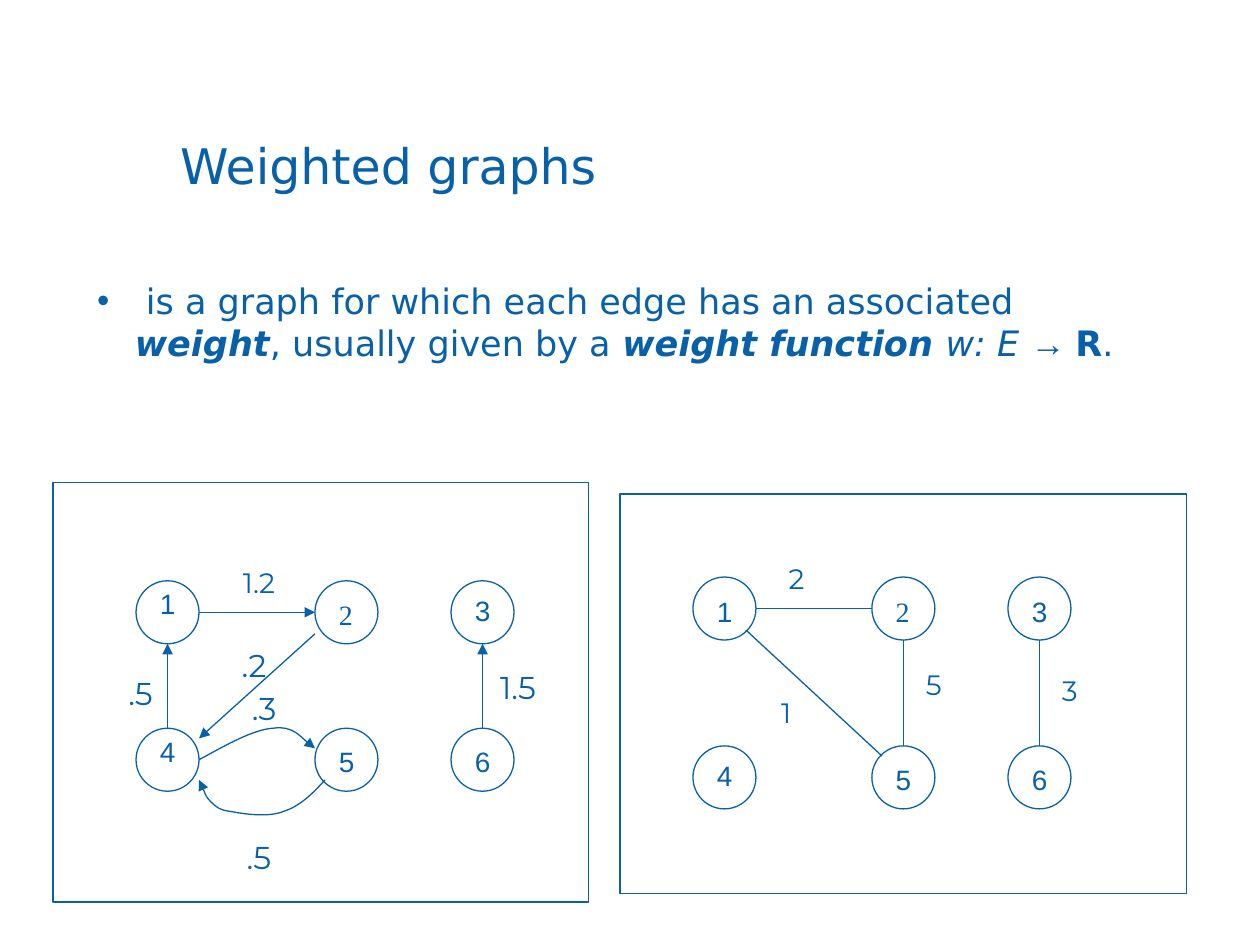
from pptx import Presentation
from pptx.dml.color import RGBColor
from pptx.enum.shapes import MSO_CONNECTOR, MSO_SHAPE
from pptx.enum.text import MSO_ANCHOR, MSO_AUTO_SIZE, PP_ALIGN
from pptx.oxml.ns import qn
from pptx.oxml.xmlchemy import OxmlElement
from pptx.util import Inches, Pt

BLUE = RGBColor(0x08, 0x60, 0xA8)
HEADING_FONT, NODE_FONT, WEIGHT_FONT = "DejaVu Sans", "Arial", "Montserrat"
NODE_SIZE = 0.5
COLUMNS = (0, 1.42, 2.5)

# Positions are in inches from the top left corner of node 1.
# Edges: start x, start y, end x, end y. Weights: text, x, y, width, points.
DIRECTED = {
    "origin": (0.66, 0.78),
    "row_gap": 1.17,
    "label_drops": (0, 0.08, 0.05, 0, 0.08, 0.08),
    "arrows": True,
    "edges": [
        (0.25, 1.17, 0.25, 0.5),
        (0.5, 0.25, 1.42, 0.25),
        (1.42, 0.42, 0.5, 1.25),
        (2.75, 1.17, 2.75, 0.5),
    ],
    "curves": [
        [(0.5, 1.42), (0.72, 1.3), (0.93, 1.18), (1.09, 1.17),
         (1.24, 1.15), (1.36, 1.29), (1.42, 1.33)],
        [(1.5, 1.58), (1.4, 1.69), (1.3, 1.79), (1.17, 1.83),
         (1.05, 1.88), (0.85, 1.85), (0.75, 1.83), (0.66, 1.82),
         (0.63, 1.79), (0.59, 1.75), (0.55, 1.71), (0.52, 1.61), (0.5, 1.58)],
    ],
    "weights": [
        (".5", -0.16, 0.69, 0.41, 18),
        ("1.2", 0.75, -0.17, 0.51, 16),
        (".2", 0.74, 0.47, 0.41, 18),
        (".5", 0.78, 1.99, 0.41, 18),
        ("1.5", 2.79, 0.64, 0.55, 18),
        (".3", 0.82, 0.81, 0.41, 18),
    ],
}
UNDIRECTED = {
    "origin": (0.58, 0.66),
    "row_gap": 1.34,
    "label_drops": (0.09, 0.09, 0.09, 0.05, 0.08, 0.08),
    "arrows": False,
    "edges": [
        (0.42, 0.42, 1.5, 1.42),
        (0.5, 0.25, 1.42, 0.25),
        (1.67, 1.34, 1.67, 0.5),
        (2.75, 1.34, 2.75, 0.5),
    ],
    "curves": [],
    "weights": [
        ("2", 0.66, -0.17, 0.32, 16),
        ("1", 0.6, 0.89, 0.32, 16),
        ("3", 2.83, 0.72, 0.32, 16),
        ("5", 1.75, 0.67, 0.32, 16),
    ],
}


def place(shape, box):
    for name, value in zip(("left", "top", "width", "height"), box):
        setattr(shape, name, Inches(value))


def add_run(paragraph, text, **font_format):
    run = paragraph.add_run()
    run.text = text
    run.font.color.rgb = BLUE
    for name, value in font_format.items():
        setattr(run.font, name, value)


def style_line(shape, arrow=False):
    shape.line.color.rgb = BLUE
    shape.line.width = Pt(0.75)
    if arrow:
        tail = OxmlElement("a:tailEnd")
        tail.set("type", "triangle")
        shape.line._get_or_add_ln().append(tail)


def add_outline(shapes, kind, box):
    shape = shapes.add_shape(kind, *map(Inches, box))
    shape.shadow.inherit = False
    shape.fill.background()
    style_line(shape)


def add_label(shapes, text, box, font, points):
    label = shapes.add_textbox(*map(Inches, box))
    frame = label.text_frame
    frame.word_wrap = False
    frame.auto_size = MSO_AUTO_SIZE.SHAPE_TO_FIT_TEXT
    add_run(frame.paragraphs[0], text, size=Pt(points), name=font)


def add_edge(shapes, start, end, arrow):
    edge = shapes.add_connector(
        MSO_CONNECTOR.STRAIGHT, *map(Inches, (*start, *end)))
    edge._element.spPr.append(OxmlElement("a:effectLst"))
    style_line(edge, arrow)


def add_curve(shapes, points, arrow):
    """Draw a cubic curve: a start, then two controls and an end per segment."""
    start, *rest = [(Inches(x), Inches(y)) for x, y in points]
    builder = shapes.build_freeform(*start)
    builder.add_line_segments(rest, close=False)
    curve = builder.convert_to_shape()
    lines = list(curve._element.iter(qn("a:lnTo")))
    for first in range(0, len(lines), 3):
        segment = OxmlElement("a:cubicBezTo")
        lines[first].addprevious(segment)
        for line in lines[first:first + 3]:
            segment.append(line[0])
            line.getparent().remove(line)
    curve.shadow.inherit = False
    curve.fill.background()
    style_line(curve, arrow)


def add_graph(slide, box, graph):
    shapes = slide.shapes.add_group_shape().shapes
    left, top = (edge + offset for edge, offset in zip(box, graph["origin"]))
    add_outline(shapes, MSO_SHAPE.RECTANGLE, box)

    for index, drop in enumerate(graph["label_drops"]):
        row, column = divmod(index, len(COLUMNS))
        x, y = left + COLUMNS[column], top + row * graph["row_gap"]
        add_outline(shapes, MSO_SHAPE.OVAL, (x, y, NODE_SIZE, NODE_SIZE))
        font = "Times New Roman" if index == 1 else NODE_FONT
        add_label(shapes, str(index + 1), (x + 0.09, y + drop, 0.32, 0.37), font, 16)

    for x1, y1, x2, y2 in graph["edges"]:
        add_edge(shapes, (left + x1, top + y1), (left + x2, top + y2), graph["arrows"])
    for points in graph["curves"]:
        add_curve(shapes, [(left + x, top + y) for x, y in points], graph["arrows"])
    for text, x, y, width, points in graph["weights"]:
        height = 0.4 if points == 18 else 0.37
        add_label(shapes, text, (left + x, top + y, width, height), WEIGHT_FONT, points)


def add_title(slide, box):
    title = slide.shapes.title
    place(title, box)
    title.text_frame.vertical_anchor = MSO_ANCHOR.MIDDLE
    paragraph = title.text_frame.paragraphs[0]
    paragraph.alignment = PP_ALIGN.LEFT
    add_run(paragraph, "Weighted graphs", size=Pt(28), name=HEADING_FONT)


def add_definition(slide, box):
    body = slide.placeholders[1]
    place(body, box)
    paragraph = body.text_frame.paragraphs[0]
    properties = paragraph._p.get_or_add_pPr()
    properties.set("marL", str(Inches(0.3)))
    properties.set("indent", str(Inches(-0.3)))
    bullet_color = OxmlElement("a:buClr")
    color = OxmlElement("a:srgbClr")
    color.set("val", str(BLUE))
    bullet_color.append(color)
    bullet = OxmlElement("a:buChar")
    bullet.set("char", "•")
    properties.extend([bullet_color, bullet])
    paragraph.space_before = Pt(0)

    for text, bold, italic, font in [
        (" is a graph for which each edge has an associated ", False, False, HEADING_FONT),
        ("weight", True, True, HEADING_FONT),
        (", usually given by a ", False, False, HEADING_FONT),
        ("weight function ", True, True, HEADING_FONT),
        ("w: E ", False, True, HEADING_FONT),
        ("→ ", False, False, NODE_FONT),
        ("R", True, False, HEADING_FONT),
        (".", False, False, HEADING_FONT),
    ]:
        add_run(paragraph, text, size=Pt(20), name=font, bold=bold, italic=italic)


def main():
    presentation = Presentation()
    presentation.slide_width, presentation.slide_height = Inches(10), Inches(7.5)
    slide = presentation.slides.add_slide(presentation.slide_layouts[1])
    add_title(slide, (1.33, 0.92, 8.5, 0.77))
    add_definition(slide, (0.67, 2.17, 8.5, 4.5))
    add_graph(slide, (0.42, 3.83, 4.25, 3.33), DIRECTED)
    add_graph(slide, (4.92, 3.92, 4.5, 3.17), UNDIRECTED)
    presentation.save("out.pptx")


if __name__ == "__main__":
    main()
